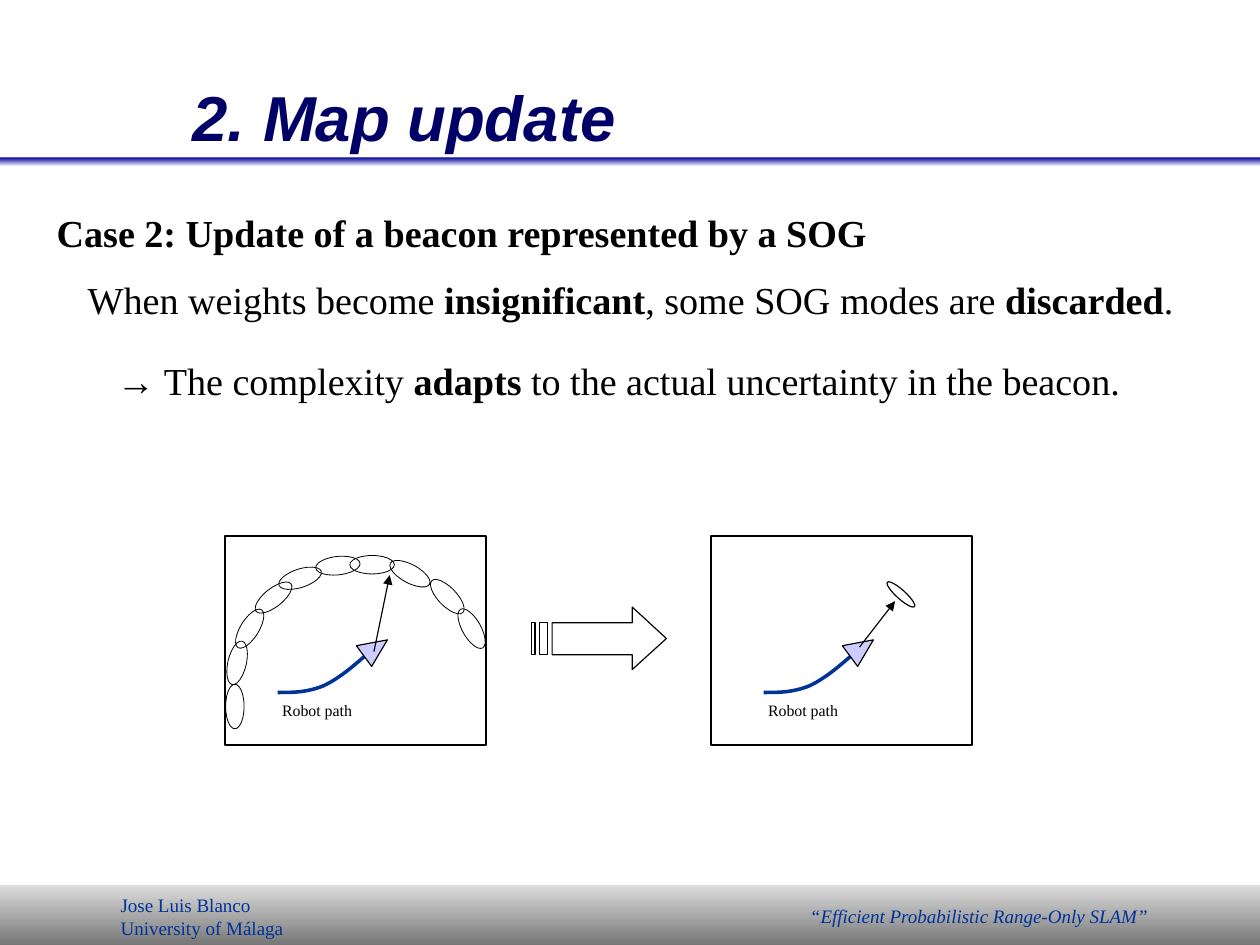
from pptx import Presentation
from pptx.dml.color import RGBColor
from pptx.enum.shapes import MSO_CONNECTOR, MSO_SHAPE
from pptx.enum.text import MSO_ANCHOR, MSO_AUTO_SIZE, PP_ALIGN
from pptx.oxml.ns import qn
from pptx.util import Cm, Pt
from lxml.etree import SubElement

COLORS = {
    "title": "000066", "text": "000000", "accent": "003399", "robot": "CCCCFF",
    "footer_top": "DDDDDD", "footer_bottom": "777777",
    "rule_top": "000099", "rule_bottom": "FEFEFE",
}
SERIF = "Times New Roman"

deck = Presentation()
deck.slide_width, deck.slide_height = Cm(28), Cm(21)
slide = deck.slides.add_slide(deck.slide_layouts[5])
shapes = slide.shapes


def add_text(left, top, width, height, size, color, lines, italic=False):
    """Each line is a list of (text, bold, font name)."""
    box = shapes.add_textbox(Cm(left), Cm(top), Cm(width), Cm(height))
    frame = box.text_frame
    frame.word_wrap = True
    for number, line in enumerate(lines):
        paragraph = frame.add_paragraph() if number else frame.paragraphs[0]
        paragraph.line_spacing = 1.02
        paragraph.font.size = Pt(size)
        paragraph.font.italic = italic
        paragraph.font.color.rgb = RGBColor.from_string(COLORS[color])
        for words, bold, font in line:
            run = paragraph.add_run()
            run.text = words
            run.font.bold = bold
            run.font.name = font


def style(shape, weight, line="text", fill=None):
    shape.shadow.inherit = False
    if fill:
        shape.fill.solid()
        shape.fill.fore_color.rgb = RGBColor.from_string(COLORS[fill])
    else:
        shape.fill.background()
    shape.line.color.rgb = RGBColor.from_string(COLORS[line])
    shape.line.width = Pt(weight)


# Footer band and rule under the title
for band, top, height in (("footer", 19.66, 1.34), ("rule", 3.5, 0.2)):
    bar = shapes.add_shape(MSO_SHAPE.ROUNDED_RECTANGLE, 0, Cm(top), Cm(28), Cm(height))
    bar.adjustments[0] = 0.017
    bar.shadow.inherit = False
    bar.line.fill.background()
    bar.fill.gradient()
    bar.fill.gradient_angle = 270
    for stop, edge in zip(bar.fill.gradient_stops, ("top", "bottom")):
        stop.color.rgb = RGBColor.from_string(COLORS[f"{band}_{edge}"])

# Footer texts
add_text(2.43, 19.71, 4.6, 1.29, 12, "accent",
         [[("Jose Luis Blanco", False, SERIF)], [("University of Málaga", False, SERIF)]])
add_text(17.75, 19.96, 8.5, 0.79, 12, "accent",
         [[("“Efficient Probabilistic Range-Only SLAM”", False, SERIF)]], italic=True)

# Title
title = shapes.title
title.left, title.top, title.width, title.height = Cm(0.28), Cm(0.79), Cm(26.52), Cm(3.5)
heading = title.text_frame
heading.text = "2. Map update"
heading.auto_size = MSO_AUTO_SIZE.NONE
heading.vertical_anchor = MSO_ANCHOR.MIDDLE
heading.margin_left = Cm(4)
heading.margin_top = heading.margin_right = heading.margin_bottom = 0
heading_line = heading.paragraphs[0]
heading_line.alignment = PP_ALIGN.LEFT
heading_line.line_spacing = 1.04
heading_line.font.name = "Arial"
heading_line.font.size = Pt(40)
heading_line.font.bold = heading_line.font.italic = True
heading_line.font.color.rgb = RGBColor.from_string(COLORS["title"])

# Statements
for left, top, statement in (
    (1.01, 4.5, [("Case 2: Update of a beacon represented by a SOG", True, SERIF)]),
    (1.7, 6, [("When weights become ", False, SERIF), ("insignificant", True, SERIF),
              (", some SOG modes are ", False, SERIF), ("discarded", True, SERIF),
              (".", False, SERIF)]),
    (2.35, 7.8, [("→", False, "Arial"), (" The complexity ", False, SERIF),
                 ("adapts", True, SERIF),
                 (" to the actual uncertainty in the beacon.", False, SERIF)]),
):
    add_text(left, top, 25.2, 1.3, 24, "text", [statement])

# Two panels: map frame, robot path, robot and range arrow
path_curves = [
    [(6.17, 15.39), (6.5, 15.39), (6.83, 15.39), (7.19, 15.24)],
    [(7.19, 15.24), (7.52, 15.09), (7.85, 14.81), (8.2, 14.5)],
]
path_points = []
for curve in path_curves:
    for step in range(13):
        t = step / 12
        weights = ((1 - t) ** 3, 3 * t * (1 - t) ** 2, 3 * t ** 2 * (1 - t), t ** 3)
        path_points.append([sum(w * p[axis] for w, p in zip(weights, curve))
                            for axis in (0, 1)])
robot_corners = [(7.92, 14.35), (8.26, 14.81), (8.61, 14.22)]

for shift, range_start, range_end in (
    (0, (8.31, 14.48), (8.66, 12.78)),
    (10.8, (19.1, 14.38), (19.89, 13.36)),
):
    frame = shapes.add_shape(MSO_SHAPE.RECTANGLE, Cm(5 + shift), Cm(11.91), Cm(5.8), Cm(4.65))
    style(frame, 1)

    for points, closed, weight, line, fill in (
        (path_points, False, 2.25, "accent", None),
        (robot_corners, True, 0.75, "text", "robot"),
    ):
        placed = [(Cm(x + shift), Cm(y)) for x, y in points]
        outline = shapes.build_freeform(*placed[0])
        outline.add_line_segments(placed[1:], close=closed)
        style(outline.convert_to_shape(), weight, line, fill)

    add_text(6.02 + shift, 15.44, 2.4, 0.69, 10, "text", [[("Robot path", False, SERIF)]])

    range_arrow = shapes.add_connector(
        MSO_CONNECTOR.STRAIGHT, *(Cm(v) for v in range_start + range_end))
    range_arrow.line.color.rgb = RGBColor.from_string(COLORS["text"])
    range_arrow.line.width = Pt(0.75)
    SubElement(range_arrow.line._get_or_add_ln(), qn("a:tailEnd"), type="triangle")
    SubElement(range_arrow._element.spPr, qn("a:effectLst"))

# SOG modes as (centre x, centre y, rotation): ten on the left, one kept on the right
left_modes = [
    (5.22, 15.7, 270), (5.27, 14.73, 283), (5.55, 13.97, 301.8), (6.08, 13.28, 321.8),
    (6.67, 12.85, 341.8), (7.51, 12.57, 354), (8.27, 12.55, 0), (9.11, 12.75, 28.2),
    (9.94, 13.26, 45.9), (10.48, 13.97, 60.2),
]
for modes, width, height, weight in (
    (left_modes, 0.99, 0.41, 0.5),
    ([(20.02, 13.21, 42)], 0.81, 0.2, 0.75),
):
    for x, y, angle in modes:
        mode = shapes.add_shape(MSO_SHAPE.OVAL, Cm(x - width / 2), Cm(y - height / 2),
                                Cm(width), Cm(height))
        mode.rotation = angle
        style(mode, weight)

# Striped arrow between the panels
upper, lower = 13.84, 14.55
arrow_parts = [
    [(12.27, upper), (14.05, upper), (14.05, 13.49), (14.81, 14.19),
     (14.05, 14.88), (14.05, lower), (12.27, lower)],
]
for x1, x2 in ((11.81, 11.89), (11.99, 12.17)):
    arrow_parts.append([(x1, upper), (x2, upper), (x2, lower), (x1, lower)])
transition = shapes.build_freeform(Cm(12.27), Cm(upper))
for number, part in enumerate(arrow_parts):
    corners = [(Cm(x), Cm(y)) for x, y in part]
    if number:
        transition.move_to(*corners[0])
    transition.add_line_segments(corners[1:], close=True)
style(transition.convert_to_shape(), 0.75)

deck.save("out.pptx")
